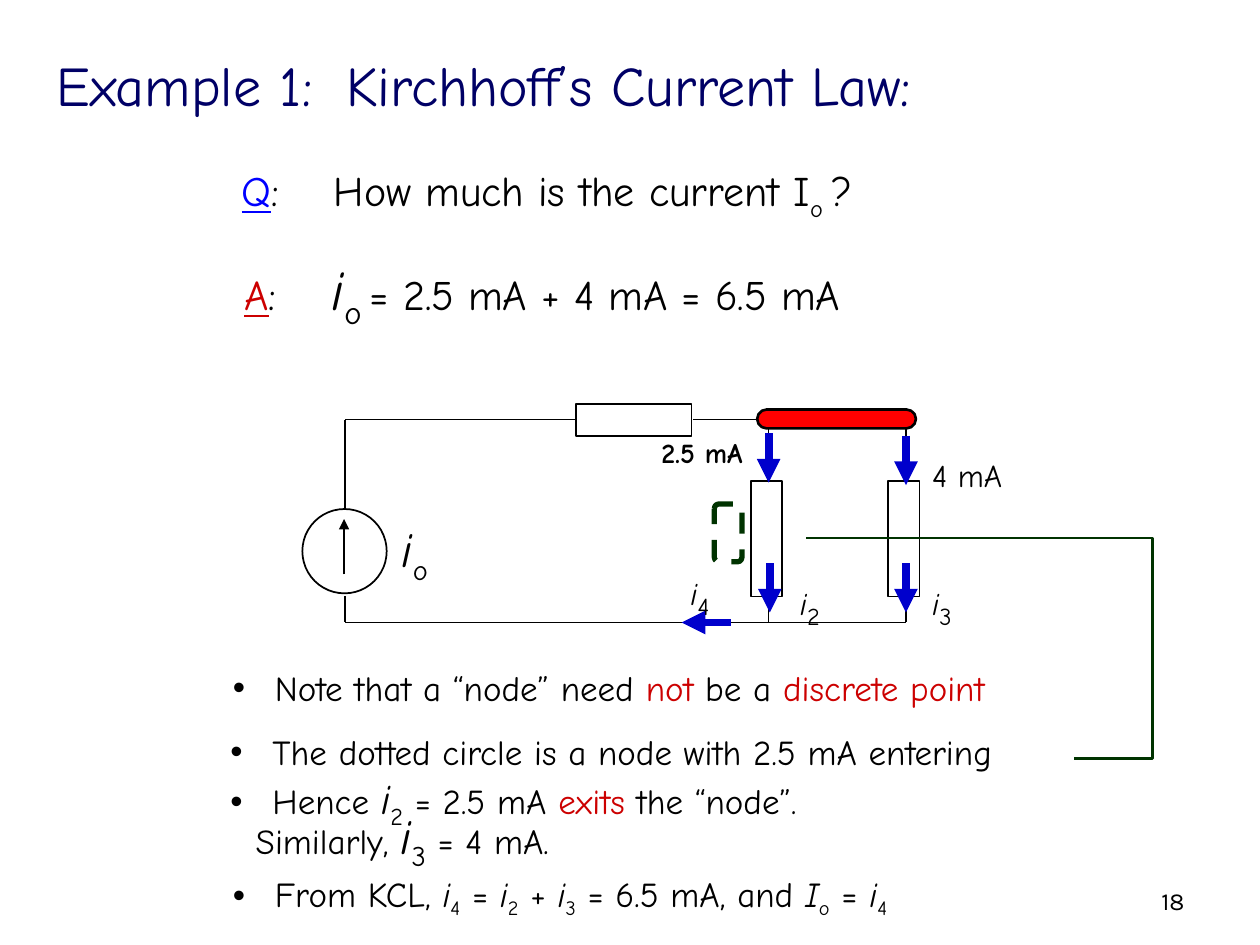
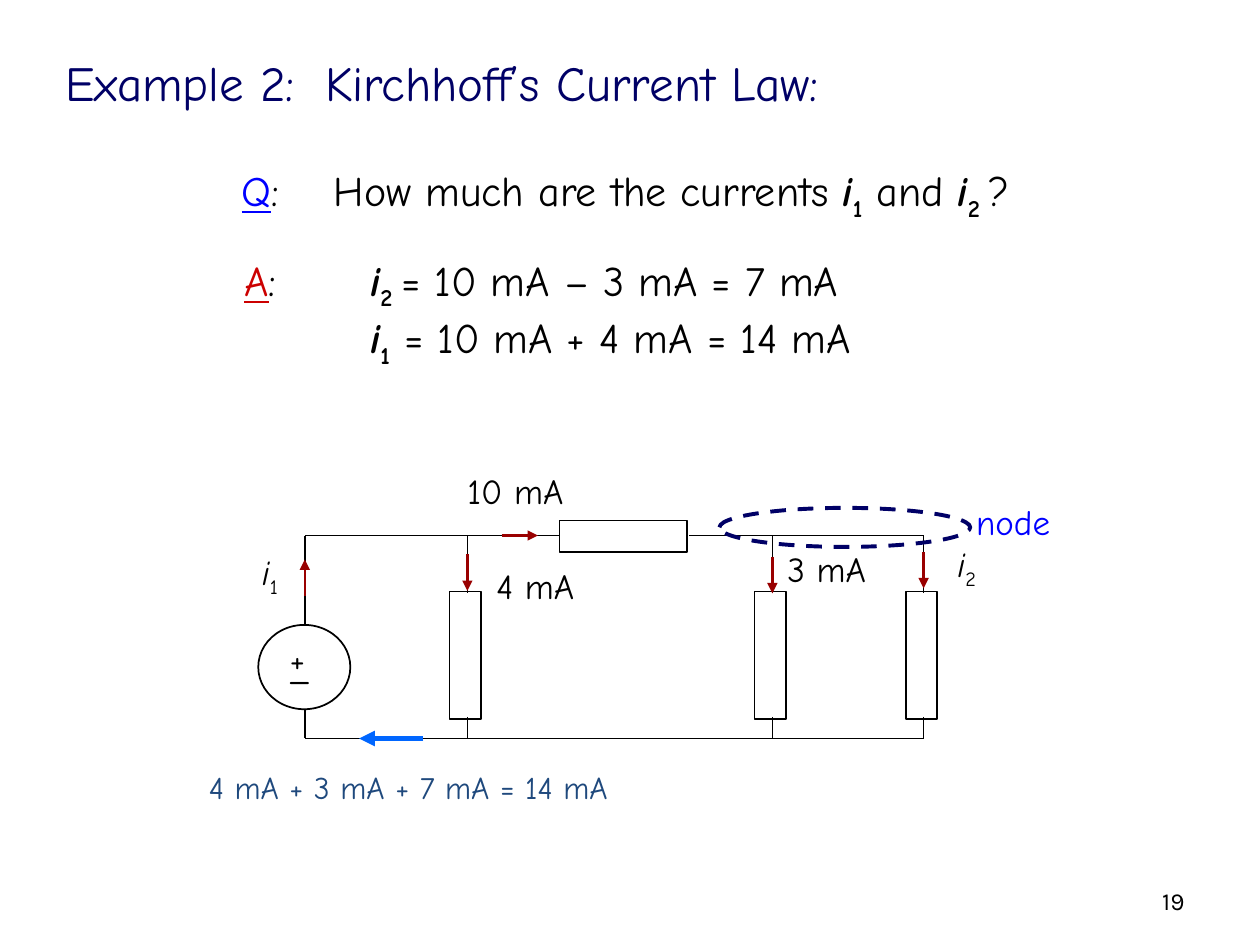
from dataclasses import dataclass, replace
from typing import NamedTuple, Optional

from lxml import etree
from pptx import Presentation
from pptx.dml.color import RGBColor
from pptx.enum.dml import MSO_LINE
from pptx.enum.shapes import MSO_CONNECTOR, MSO_SHAPE
from pptx.enum.text import MSO_ANCHOR, MSO_AUTO_SIZE, PP_ALIGN
from pptx.oxml.ns import qn
from pptx.util import Pt

STRAIGHT, ELBOW = MSO_CONNECTOR.STRAIGHT, MSO_CONNECTOR.ELBOW
RECTANGLE, ROUNDED, OVAL = MSO_SHAPE.RECTANGLE, MSO_SHAPE.ROUNDED_RECTANGLE, MSO_SHAPE.OVAL
LEFT, CENTER, RIGHT = PP_ALIGN.LEFT, PP_ALIGN.CENTER, PP_ALIGN.RIGHT
TOP, MIDDLE = MSO_ANCHOR.TOP, MSO_ANCHOR.MIDDLE
DASH = MSO_LINE.DASH
TITLE_ONLY = 5


@dataclass(frozen=True)
class Theme:
    font: str = "Comic Neue"
    number_font: str = "Karla"
    ink: str = "000000"
    paper: str = "FFFFFF"
    navy: str = "000066"
    blue: str = "0000FF"
    current_blue: str = "0000CC"
    return_blue: str = "0066FF"
    sum_blue: str = "1F497D"
    red: str = "CC0000"
    node_red: str = "FF0000"
    dark_red: str = "990000"
    green: str = "003300"
    number_size: float = 14
    small: float = 16
    label: float = 18
    body: float = 20
    question: float = 24
    big: float = 28
    huge: float = 32
    thin: float = 1
    medium: float = 1.5


THEME = Theme()


class Span(NamedTuple):
    text: str
    size: float = THEME.body
    color: str = THEME.ink
    bold: bool = False
    italic: bool = False
    underline: bool = False
    subscript: bool = False
    font: str = THEME.font


@dataclass(frozen=True)
class Line:
    spans: list[Span]
    bullet: bool = False
    indent: float = 0
    tab: float = 0
    align: PP_ALIGN = LEFT


class Frame(NamedTuple):
    left: float
    top: float
    width: float
    height: float


class Wire(NamedTuple):
    x1: float
    y1: float
    x2: float
    y2: float


class Branch(NamedTuple):
    x: float
    rail_top: float
    rail_bottom: float
    box_top: float
    box_height: float


def symbol(name: str, index: str, size: float = THEME.body,
           index_size: Optional[float] = None, bold: bool = False) -> list[Span]:
    return [Span(name, size, bold=bold, italic=True),
            Span(index, index_size or size, bold=bold, subscript=True)]


def write_line(para, line: Line) -> None:
    para.alignment = line.align
    properties = para._p.get_or_add_pPr()
    if line.indent:
        properties.set("marL", str(Pt(line.indent)))
    if line.bullet:
        properties.set("indent", str(-Pt(line.indent)))
        etree.SubElement(properties, qn("a:buFont"), typeface="Arial")
        etree.SubElement(properties, qn("a:buChar"), char="•")
    if line.tab:
        stops = etree.SubElement(properties, qn("a:tabLst"))
        etree.SubElement(stops, qn("a:tab"), pos=str(Pt(line.tab)), algn="l")
    for item in line.spans:
        span = para.add_run()
        span.text = item.text
        span.font.name = item.font
        span.font.size = Pt(item.size)
        span.font.color.rgb = RGBColor.from_string(item.color)
        span.font.bold = item.bold
        span.font.italic = item.italic
        span.font.underline = item.underline
        if item.subscript:
            span._r.get_or_add_rPr().set("baseline", "-25000")


def fill_text(box, lines: list[Line], anchor: MSO_ANCHOR = TOP) -> None:
    text_frame = box.text_frame
    text_frame.word_wrap = True
    text_frame.auto_size = MSO_AUTO_SIZE.NONE
    text_frame.vertical_anchor = anchor
    for index, line in enumerate(lines):
        write_line(text_frame.add_paragraph() if index else text_frame.paragraphs[0], line)


def add_text(page, frame: Frame, *lines: Line, anchor: MSO_ANCHOR = TOP) -> None:
    fill_text(page.shapes.add_textbox(*map(Pt, frame)), list(lines), anchor)


def add_label(page, frame: Frame, *spans: Span, align: PP_ALIGN = LEFT) -> None:
    add_text(page, frame, Line(list(spans), align=align))


def style_line(line, color: str, width: float) -> None:
    line.color.rgb = RGBColor.from_string(color)
    line.width = Pt(width)


def add_outline(page, kind: MSO_SHAPE, frame: Frame, fill: Optional[str] = THEME.paper,
                color: str = THEME.ink, width: float = THEME.thin, dashed: bool = False):
    shape = page.shapes.add_shape(kind, *map(Pt, frame))
    shape.shadow.inherit = False
    if fill:
        shape.fill.solid()
        shape.fill.fore_color.rgb = RGBColor.from_string(fill)
    else:
        shape.fill.background()
    style_line(shape.line, color, width)
    if dashed:
        shape.line.dash_style = DASH
    return shape


def add_wire(page, wire: Wire, color: str = THEME.ink, width: float = THEME.thin,
             arrow: bool = False, kind: MSO_CONNECTOR = STRAIGHT):
    connector = page.shapes.add_connector(kind, *map(Pt, wire))
    style_line(connector.line, color, width)
    if arrow:
        etree.SubElement(connector.line._get_or_add_ln(), qn("a:tailEnd"), type="triangle")
    etree.SubElement(connector._element.spPr, qn("a:effectLst"))
    return connector


def add_branch(page, branch: Branch) -> None:
    box_bottom = branch.box_top + branch.box_height
    add_outline(page, RECTANGLE, Frame(branch.x - 10.2, branch.box_top, 18, branch.box_height))
    add_wire(page, Wire(branch.x, branch.rail_top, branch.x, branch.box_top + 1))
    add_wire(page, Wire(branch.x, box_bottom - 1, branch.x, branch.rail_bottom))


def add_page(deck, number: int, title_frame: Frame, size: float, tab: float):
    page = deck.slides.add_slide(deck.slide_layouts[TITLE_ONLY])
    title = page.shapes.title
    title.left, title.top, title.width, title.height = map(Pt, title_frame)
    heading = f"Example {number - 17}:\tKirchhoff’s Current Law:"
    fill_text(title, [Line([Span(heading, size, THEME.navy)], tab=tab)])
    page_number = Span(str(number), THEME.number_size, font=THEME.number_font)
    add_text(page, Frame(516.2, 500.4, 167.8, 28.8), Line([page_number], align=RIGHT),
             anchor=MIDDLE)
    return page


def tagged(letter: str, color: str, tab: float, spans: list[Span]) -> Line:
    tag = Span(letter, THEME.question, color, underline=True)
    return Line([tag, Span(":\t", THEME.question), *spans], tab=tab)


def add_question(page, spans: list[Span]) -> None:
    add_text(page, Frame(131, 90.7, 507, 36), tagged("Q", THEME.blue, 52.8, spans))


def add_answer(page, tab: float, first: list[Span], *others: Line) -> None:
    add_text(page, Frame(132.5, 141.8, 420, 65.5), tagged("A", THEME.red, tab, first), *others)


def draw_example_one(deck) -> None:
    page = add_page(deck, 18, Frame(25.2, 25.2, 565.2, 46), THEME.huge, 165.6)
    asked = Span("How much is the current I", THEME.question)
    add_question(page, [asked, asked._replace(text="o ", subscript=True), asked._replace(text="?")])
    add_answer(page, 50, [*symbol("i", "o", THEME.huge),
                          Span(" ", THEME.question, subscript=True),
                          Span("= 2.5 mA + 4 mA = 6.5 mA", THEME.question)])

    rail_top, rail_bottom = 239.8, 355.7
    left, middle, right = 197.3, 439.2, 517.7
    add_outline(page, OVAL, Frame(172.8, 290.9, 48.2, 48.2))
    for wire in (Wire(left, rail_top, left, 291.5), Wire(left, 340.5, left, rail_bottom),
                 Wire(left, rail_top, 331, rail_top), Wire(396, rail_top, right, rail_top),
                 Wire(left, rail_bottom, right, rail_bottom)):
        add_wire(page, wire)
    for x in (middle, right):
        add_branch(page, Branch(x, rail_top, rail_bottom, 274.7, 66.2))
    add_outline(page, RECTANGLE, Frame(329, 231, 66.2, 18))
    node = add_outline(page, ROUNDED, Frame(432.7, 234, 90.7, 10.8), THEME.node_red,
                       width=THEME.medium)
    node.adjustments[0] = 0.5

    for arrow in (Wire(middle, 247.7, middle, 275.8), Wire(right, 249, right, 277.2),
                  Wire(417.6, rail_bottom, 389.5, rail_bottom),
                  Wire(middle + 0.7, 321.8, middle + 0.7, 350), Wire(right, 321.8, right, 350)):
        add_wire(page, arrow, THEME.current_blue, 4.5, arrow=True)
    add_wire(page, Wire(196.6, 328.3, 196.6, 296.6), width=THEME.medium, arrow=True)

    add_label(page, Frame(370.8, 245.5, 72.7, 26.6), Span("2.5 mA", THEME.small, bold=True))
    add_label(page, Frame(525.6, 257, 58.3, 28.8), Span("4 mA", THEME.label))
    for x, y, index in ((387.4, 318.2, "4"), (450, 324, "2"), (525.6, 324, "3")):
        add_label(page, Frame(x, y, 29.5, 36.7), *symbol("i", index, THEME.label, THEME.question))
    add_label(page, Frame(222.5, 293, 32.4, 41), *symbol("i", "o", THEME.big))

    outline = add_outline(page, ROUNDED, Frame(408.2, 288, 15.8, 33.1), None, THEME.green, 3, True)
    outline.adjustments[0] = 0.167
    callout = add_wire(page, Wire(460.8, 307.4, 613.8, 433.6), THEME.green, THEME.medium, kind=ELBOW)
    properties = callout._element.spPr
    properties.find(qn("a:xfrm")).set("rot", "10800000")
    guides = properties.find(qn("a:prstGeom")).find(qn("a:avLst"))
    etree.SubElement(guides, qn("a:gd"), name="adj1", fmla="val -29300")

    bullet = Line([], bullet=True, indent=24)
    add_text(page, Frame(126, 377.3, 483, 31.7), replace(bullet, spans=[
        Span("Note that a “node” need "), Span("not", color=THEME.red), Span(" be a "),
        Span("discrete point", color=THEME.red)]))
    add_text(page, Frame(124.6, 414, 492.5, 60.5),
             replace(bullet, spans=[Span("The dotted circle is a node with 2.5 mA entering")]),
             replace(bullet, spans=[
                 Span("Hence "), *symbol("i", "2", THEME.question), Span(" = 2.5 mA "),
                 Span("exits", color=THEME.red), Span(" the “node”.")]))
    add_text(page, Frame(126, 456.5, 409.7, 65.5),
             Line([Span("Similarly, "), *symbol("i", "3", THEME.big), Span(" = 4 mA.")], indent=13),
             replace(bullet, spans=[
                 Span("From KCL, "), *symbol("i", "4"), Span(" = "), *symbol("i", "2"),
                 Span(" + "), *symbol("i", "3"), Span(" = 6.5 mA, and "), *symbol("I", "o"),
                 Span(" = "), *symbol("i", "4")]))


def draw_example_two(deck) -> None:
    page = add_page(deck, 19, Frame(30.2, 26.6, 500.4, 41), THEME.big, 148.5)
    size = THEME.question
    add_question(page, [Span("How much are the currents ", size), *symbol("i", "1", size, bold=True),
                        Span(" and ", size), *symbol("i", "2 ", size, bold=True), Span("?", size)])
    add_answer(page, 72,
               [*symbol("i", "2 ", size, bold=True), Span("= 10 mA – 3 mA = 7 mA", size)],
               Line([Span("\t", size), *symbol("i", "1", size, bold=True),
                     Span(" = 10 mA + 4 mA = 14 mA", size)], tab=72))

    rail_top, rail_bottom = 306, 422
    left, inner, middle, right = 174.2, 267.1, 441.4, 527.8
    add_outline(page, OVAL, Frame(147.6, 357.1, 52.6, 48.2))
    for wire in (Wire(left, rail_top, left, 357.8), Wire(left, 406, left, rail_bottom),
                 Wire(left, rail_top, 322.6, rail_top), Wire(393.8, rail_top, right, rail_top),
                 Wire(left, rail_bottom, right, rail_bottom)):
        add_wire(page, wire)
    for x in (inner, middle, right):
        add_branch(page, Branch(x, rail_top, rail_bottom, 338, 72.7))
    add_outline(page, RECTANGLE, Frame(319.7, 297.4, 72.7, 18))

    for arrow in (Wire(left, 340.6, left, 319.7), Wire(inner, 316.8, inner, 337.7),
                  Wire(middle, 318.2, middle, 339.1), Wire(right, 315.4, right, 336.2),
                  Wire(286.6, rail_top, 307.4, rail_top)):
        add_wire(page, arrow, THEME.dark_red, THEME.medium, arrow=True)
    add_wire(page, Wire(242, rail_bottom, 205.2, rail_bottom), THEME.return_blue, 3, arrow=True)

    for x, y, width, text in ((158.4, 360.7, 26, "+"), (159.1, 366.5, 27.4, "_"),
                              (276.5, 319, 63.4, "4 mA"), (260, 265, 80, "10 mA"),
                              (442.8, 309.6, 63.4, "3 mA")):
        add_label(page, Frame(x, y, width, 31.7), Span(text))
    for x, y, index in ((142.6, 311, "1"), (540, 306.7, "2")):
        add_label(page, Frame(x, y, 28, 31.7), *symbol("i", index))
    add_label(page, Frame(104.4, 435.6, 257.8, 28.8),
              Span("4 mA + 3 mA + 7 mA = 14 mA", THEME.label, THEME.sum_blue), align=CENTER)
    add_outline(page, OVAL, Frame(411.1, 290.2, 143.3, 22.3), None, THEME.navy, 2.25, True)
    add_label(page, Frame(549.4, 282.2, 59, 31), Span("node", color=THEME.blue), align=CENTER)


def main() -> None:
    deck = Presentation()
    deck.slide_width, deck.slide_height = Pt(720), Pt(540)
    draw_example_one(deck)
    draw_example_two(deck)
    deck.save("out.pptx")


if __name__ == "__main__":
    main()
